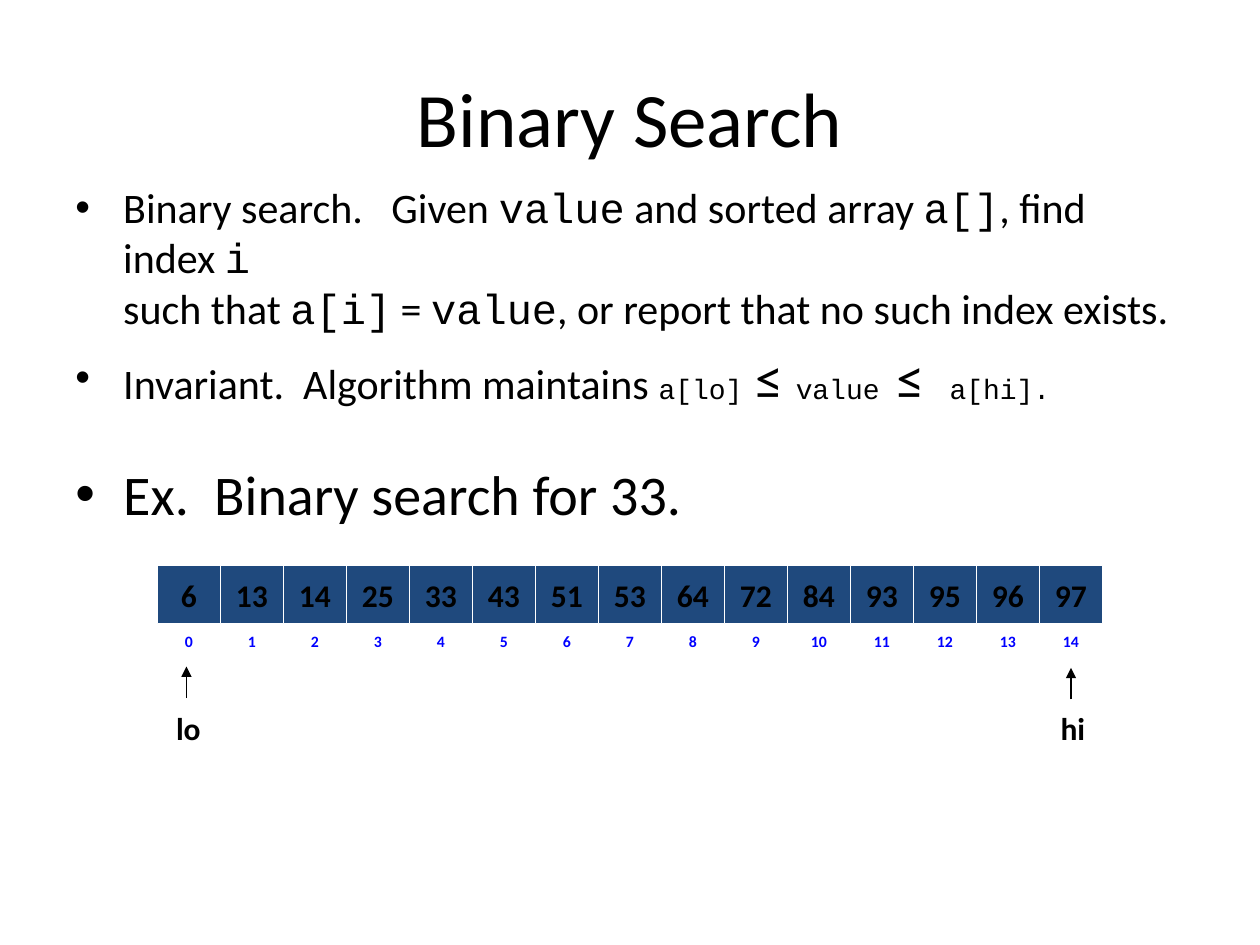
from lxml import etree
from pptx import Presentation
from pptx.dml.color import RGBColor
from pptx.enum.shapes import MSO_CONNECTOR, MSO_SHAPE
from pptx.enum.text import MSO_ANCHOR, PP_ALIGN
from pptx.oxml.ns import qn
from pptx.util import Emu, Pt

RECT = MSO_SHAPE.RECTANGLE
STRAIGHT = MSO_CONNECTOR.STRAIGHT
MIDDLE = MSO_ANCHOR.MIDDLE
CENTER = PP_ALIGN.CENTER

EMU_PER_PX = 9144
TITLE_ONLY = 5
COLORS = {"text": "000000", "cell": "1F497D", "border": "FFFFFF", "index": "0000FF"}
SANS, MONO = "Calibri", "Courier New"

VALUES = [6, 13, 14, 25, 33, 43, 51, 53, 64, 72, 84, 93, 95, 96, 97]
ARRAY_LEFT, CELL_WIDTH = 125, 50

# Each paragraph: space before in points, then runs of text, font and size.
BULLETS = [
    (5, [("Binary search.   Given ", SANS, 24), ("value", MONO, 24),
         (" and sorted array ", SANS, 24), ("a[]", MONO, 24),
         (", find index ", SANS, 24), ("i", MONO, 24), ("\n", MONO, 24),
         ("such that ", SANS, 24), ("a[i]", MONO, 24), (" = ", SANS, 24),
         ("value", MONO, 24), (", or report that no such index exists.", SANS, 24)]),
    (6, [("Invariant.  Algorithm maintains ", SANS, 24), ("a[lo]", MONO, 16),
         (" ≤ ", SANS, 32), ("value ", MONO, 16), ("≤  ", SANS, 32),
         ("a[hi].", MONO, 16)]),
    (28, [("Ex.  Binary search for 33.", SANS, 32)]),
]


def px(*lengths):
    return [Emu(n * EMU_PER_PX) for n in lengths]


def rgb(name):
    return RGBColor.from_string(COLORS[name])


def add_run(p, text, size, font=SANS, color="text", bold=False):
    r = p.add_run()
    r.text = text
    for name, value in {"size": Pt(size), "name": font, "bold": bold}.items():
        setattr(r.font, name, value)
    r.font.color.rgb = rgb(color)


def add_title(s, text):
    title = s.shapes.title
    title.left, title.top, title.width, title.height = px(50, 30, 900, 125)
    tf = title.text_frame
    tf.vertical_anchor = MIDDLE
    p = tf.paragraphs[0]
    p.alignment = CENTER
    add_run(p, text, 44)


def set_bullet(p, indent):
    pPr = p._p.get_or_add_pPr()
    pPr.set("marL", str(indent))
    pPr.set("indent", str(-indent))
    etree.SubElement(pPr, qn("a:buFont"), typeface="Arial")
    etree.SubElement(pPr, qn("a:buChar"), char="•")


def add_bullets(s):
    tf = s.shapes.add_textbox(*px(50, 139, 900, 531)).text_frame
    tf.word_wrap = True
    for i, (space, runs) in enumerate(BULLETS):
        p = tf.add_paragraph() if i else tf.paragraphs[0]
        p.space_before = Pt(space)
        set_bullet(p, *px(38))
        for text, font, size in runs:
            if text == "\n":
                p.add_line_break()
            else:
                add_run(p, text, size, font)


def add_cell(s, column, top, height, text, size, color, fill=None):
    left = ARRAY_LEFT + column * CELL_WIDTH
    sp = s.shapes.add_shape(RECT, *px(left, top, CELL_WIDTH, height))
    sp.shadow.inherit = False
    if fill:
        sp.fill.solid()
        sp.fill.fore_color.rgb = rgb(fill)
    else:
        sp.fill.background()
    sp.line.color.rgb = rgb("border")
    sp.line.width = Pt(0.75)
    tf = sp.text_frame
    tf.word_wrap = False
    tf.vertical_anchor = MIDDLE
    p = tf.paragraphs[0]
    p.alignment = CENTER
    add_run(p, str(text), size, color=color, bold=True)


def add_pointer(s, text, x, arrow_top):
    """Label with an arrow pointing up at the array."""
    tf = s.shapes.add_textbox(*px(x - 20, 558, 43, 33)).text_frame
    tf.word_wrap = False
    p = tf.paragraphs[0]
    p.alignment = CENTER
    add_run(p, text, 18, bold=True)

    arrow = s.shapes.add_connector(STRAIGHT, *px(x, arrow_top + 25, x, arrow_top))
    arrow.line.color.rgb = rgb("text")
    arrow.line.width = Pt(0.75)
    etree.SubElement(arrow.line._get_or_add_ln(), qn("a:tailEnd"), type="triangle")
    etree.SubElement(arrow._element.spPr, qn("a:effectLst"))


def main():
    prs = Presentation()
    prs.slide_width, prs.slide_height = px(1000, 750)
    s = prs.slides.add_slide(prs.slide_layouts[TITLE_ONLY])
    add_title(s, "Binary Search")
    add_bullets(s)
    for i, value in enumerate(VALUES):
        add_cell(s, i, 498, 21, i, 9, "index")
        add_cell(s, i, 449, 46, value, 18, "text", fill="cell")
    add_pointer(s, "lo", 148, 529)
    add_pointer(s, "hi", 850, 530)
    prs.save("out.pptx")


if __name__ == "__main__":
    main()
